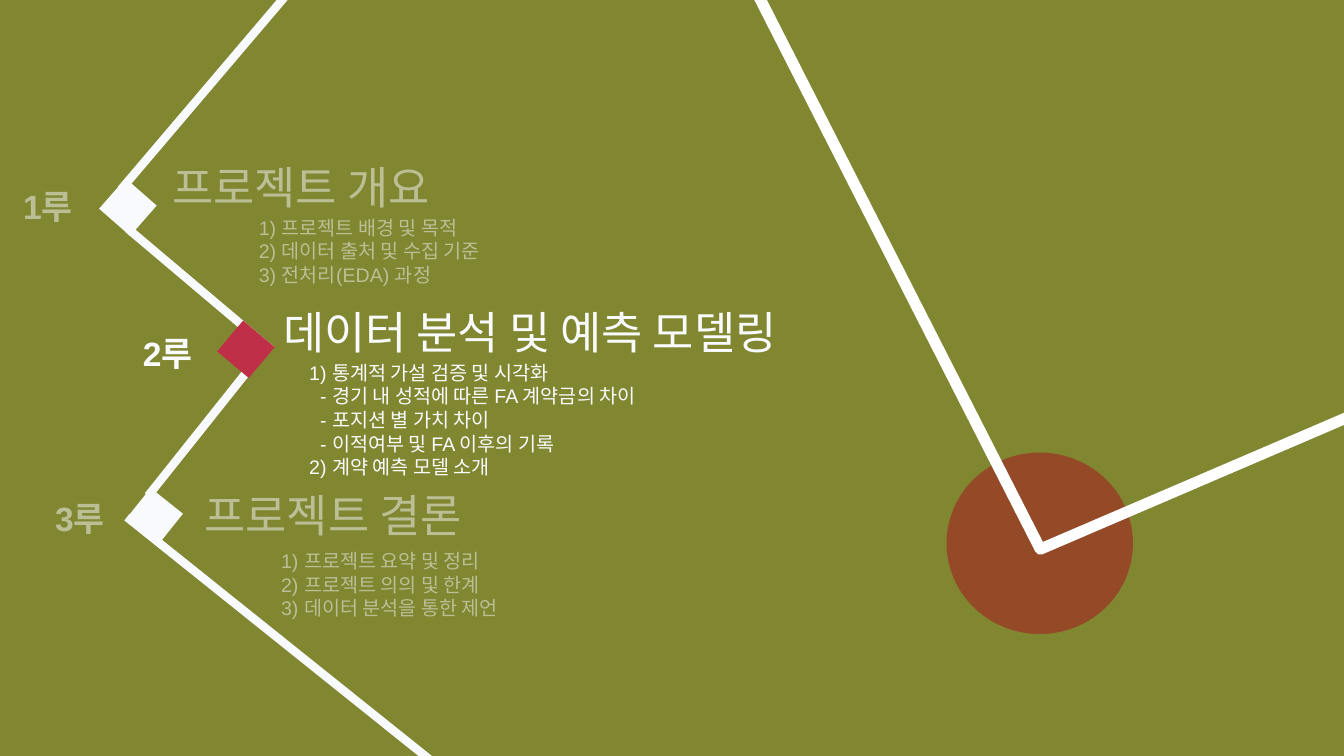
from lxml.etree import SubElement
from pptx import Presentation
from pptx.dml.color import RGBColor
from pptx.enum.shapes import MSO_CONNECTOR, MSO_SHAPE
from pptx.oxml.ns import qn
from pptx.util import Pt

GRASS = RGBColor(0x81, 0x86, 0x30)
CLAY = RGBColor(0x94, 0x4A, 0x27)
WHITE = RGBColor(0xFF, 0xFF, 0xFF)
CHALK = RGBColor(0xF9, 0xFA, 0xFD)
ACTIVE = RGBColor(0xBF, 0x2F, 0x47)

SECTIONS = [
    {
        "origin": (9.4, 129.6),
        "base_name": "1루",
        "title": "프로젝트 개요",
        "title_offset": (106.5, -18.7),
        "topics": ["1) 프로젝트 배경 및 목적", "2) 데이터 출처 및 수집 기준", "3) 전처리(EDA) 과정"],
        "topics_offset": (168.4, 20.9),
        "veil_offset": (-5.1, -62.6),
    },
    {
        "origin": (32.4, 352.1),
        "base_name": "3루",
        "title": "프로젝트 결론",
        "title_offset": (106.6, -7.2),
        "topics": ["1) 프로젝트 요약 및 정리", "2) 프로젝트 의의 및 한계", "3) 데이터 분석을 통한 제언"],
        "topics_offset": (161.3, 36.7),
        "veil_offset": (-14.4, -46.1),
    },
    {
        "origin": (95, 234),
        "base_name": "2루",
        "title": "데이터 분석 및 예측 모델링",
        "title_offset": (100.1, -20.2),
        "topics": [
            "1) 통계적 가설 검증 및 시각화",
            "- 경기 내 성적에 따른 FA 계약금의 차이",
            "- 포지션 별 가치 차이",
            "- 이적여부 및 FA 이후의 기록",
            "2) 계약 예측 모델 소개",
        ],
        "topics_offset": (118.8, 20.2),
        "veil_offset": None,
    },
]

BASE_LINES = [
    (208.8, -8.6, 86.4, 135.4),
    (91.4, 163.4, 193.7, 249.8),
    (178.6, 262.8, 105.8, 354.2),
    (90.7, 369.4, 319, 552.2),
]
BASES = [
    (77, 133.2, 311.2, CHALK),
    (161.3, 234.7, 310.1, ACTIVE),
    (95.8, 354.2, 308.6, CHALK),
]


def add_text(slide, lines, left, top, width, height, size, bold=False):
    frame = slide.shapes.add_textbox(Pt(left), Pt(top), Pt(width), Pt(height)).text_frame
    frame.word_wrap = True
    for index, line in enumerate(lines):
        paragraph = frame.paragraphs[0] if index == 0 else frame.add_paragraph()
        if line.startswith("-"):
            paragraph._p.get_or_add_pPr().set("marL", str(Pt(7.8)))
        run = paragraph.add_run()
        run.text = line
        run.font.name = "Arial"
        run.font.size = Pt(size)
        run.font.bold = bold
        run.font.color.rgb = CHALK


def add_figure(slide, preset, left, top, width, height, fill=None, rotation=0, alpha=None):
    figure = slide.shapes.add_shape(preset, Pt(left), Pt(top), Pt(width), Pt(height))
    figure.shadow.inherit = False
    figure.rotation = rotation
    figure.line.fill.background()
    if fill is None:
        figure.fill.background()
    else:
        figure.fill.solid()
        figure.fill.fore_color.rgb = fill
    if alpha is not None:
        color = figure.fill._xPr.find(qn("a:solidFill"))[0]
        SubElement(color, qn("a:alpha")).set("val", str(alpha * 1000))
    return figure


def add_infield(slide, left, top):
    add_figure(slide, MSO_SHAPE.OVAL, left, top, 133.2, 129.6, fill=CLAY)
    foul_lines = add_figure(slide, MSO_SHAPE.DIAMOND, left - 201.6, top - 748.8, 814.3, 869.8, rotation=109.9)
    foul_lines.line.color.rgb = WHITE
    foul_lines.line.width = Pt(8)


def add_section(slide, section):
    left, top = section["origin"]
    title_x, title_y = section["title_offset"]
    topics_x, topics_y = section["topics_offset"]
    topics = section["topics"]
    add_text(slide, [section["base_name"]], left, top, 89.3, 36, size=24, bold=True)
    add_text(slide, [section["title"]], left + title_x, top + title_y, 405.4, 46.1, size=32)
    add_text(slide, topics, left + topics_x, top + topics_y, 533.5, 7.5 + 17 * len(topics), size=14)
    if section["veil_offset"]:
        veil_x, veil_y = section["veil_offset"]
        add_figure(slide, MSO_SHAPE.RECTANGLE, left + veil_x, top + veil_y, 560.9, 146.2, fill=GRASS, alpha=50)


def add_base_path(slide):
    for ends in BASE_LINES:
        base_line = slide.shapes.add_connector(MSO_CONNECTOR.STRAIGHT, *map(Pt, ends))
        base_line.line.color.rgb = CHALK
        base_line.line.width = Pt(6)
        SubElement(base_line._element.spPr, qn("a:effectLst"))
    for left, top, rotation, fill in BASES:
        add_figure(slide, MSO_SHAPE.RECTANGLE, left, top, 28.8, 29.5, fill=fill, rotation=rotation)


def main():
    deck = Presentation()
    deck.slide_width, deck.slide_height = Pt(960), Pt(540)
    slide = deck.slides.add_slide(deck.slide_layouts[6])
    slide.background.fill.solid()
    slide.background.fill.fore_color.rgb = GRASS
    add_infield(slide, 676.1, 323.3)
    for section in SECTIONS:
        add_section(slide, section)
    add_base_path(slide)
    deck.save("out.pptx")


if __name__ == "__main__":
    main()
